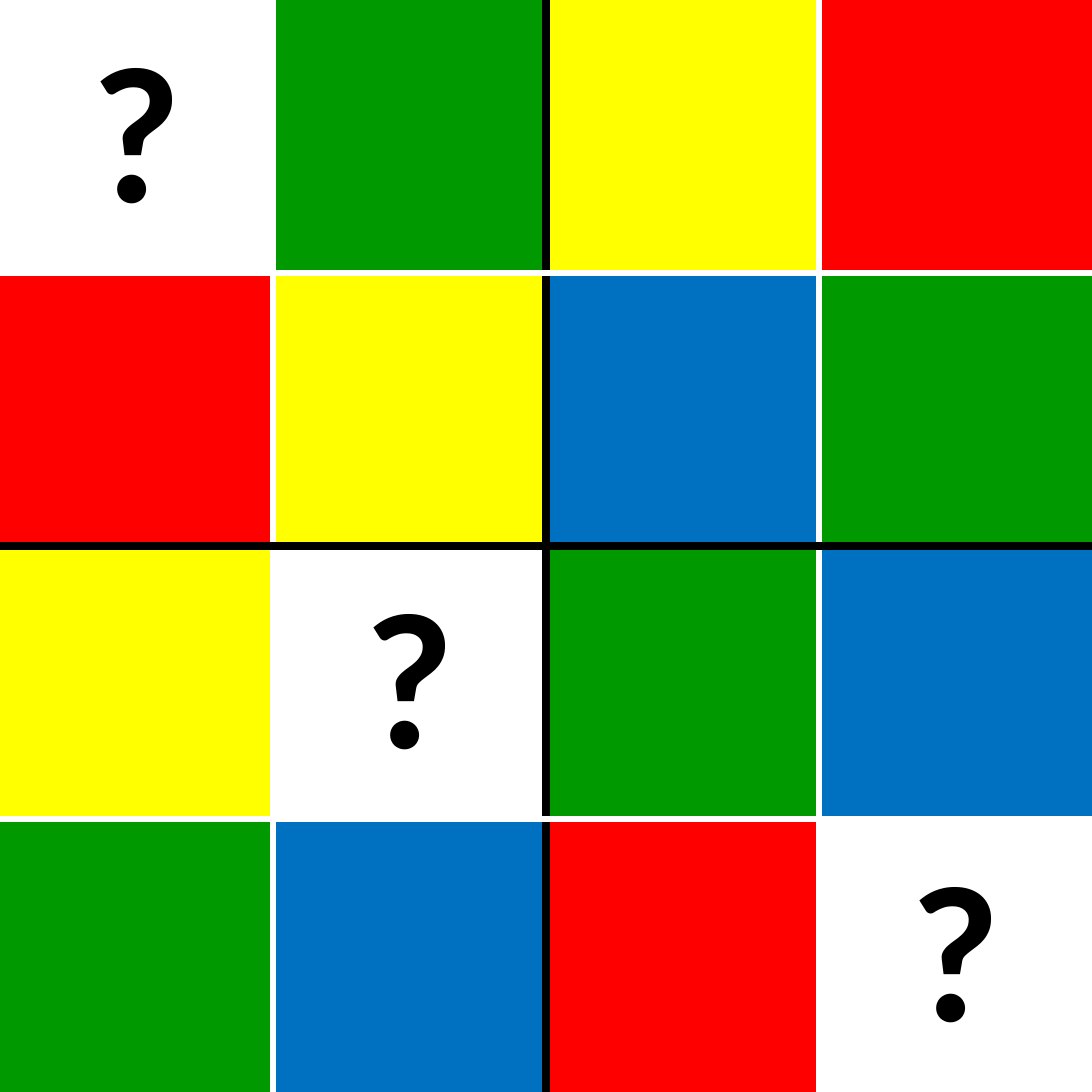
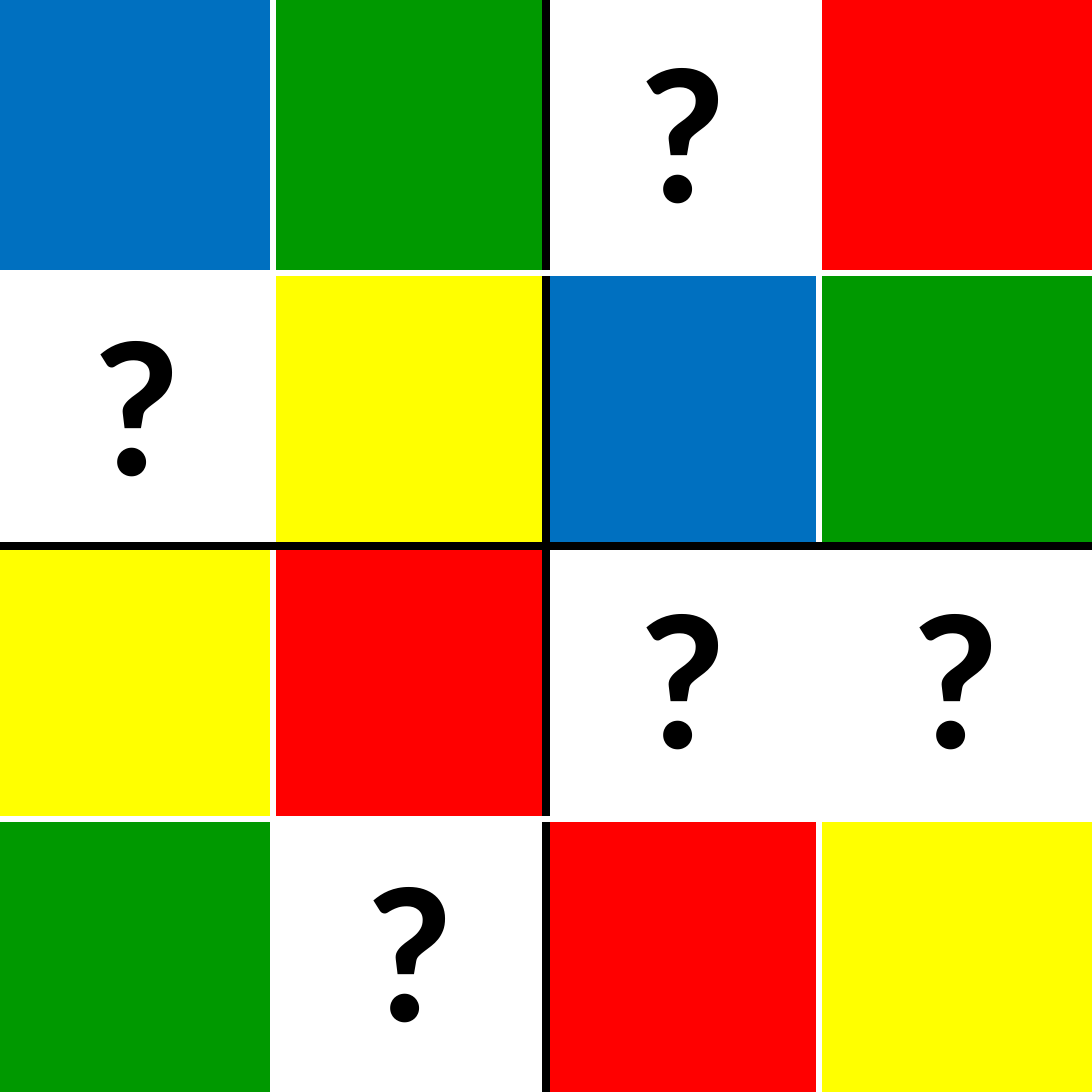
import pptx
import pptx.util
import pptx.dml.color
import pptx.enum.text
import pptx.oxml
import pptx.oxml.ns

RGBColor = pptx.dml.color.RGBColor
Inches, Pt = pptx.util.Inches, pptx.util.Pt

# Shared colours
WHITE = RGBColor(0xFF, 0xFF, 0xFF)
BLACK = RGBColor(0x00, 0x00, 0x00)
GREEN = RGBColor(0x00, 0x99, 0x00)
YELLOW = RGBColor(0xFF, 0xFF, 0x00)
RED = RGBColor(0xFF, 0x00, 0x00)
BLUE = RGBColor(0x00, 0x70, 0xC0)

# Puzzles: one letter per cell, "?" for a colour to be found
FILLS = {"G": GREEN, "Y": YELLOW, "R": RED, "B": BLUE, "?": WHITE}
PUZZLES = [
    ["?GYR", "RYBG", "Y?GB", "GBR?"],
    ["BG?R", "?YBG", "YR??", "G?RY"],
]


class ColourSudoku:
    SIDE = Inches(7.5)
    N = 4
    FONT, SIZE = "Calibri", Pt(96)
    THIN, THICK = (WHITE, Pt(3)), (BLACK, Pt(4.5))

    def __init__(self, prs):
        self.prs = prs
        prs.slide_width = prs.slide_height = self.SIDE
        self.s = None

    def new_slide(self):
        self.s = self.prs.slides.add_slide(self.prs.slide_layouts[6])

    def board(self, rows):
        """Fill the slide with a square table of coloured cells."""
        table = self.s.shapes.add_table(
            self.N, self.N, 0, 0, self.SIDE, self.SIDE).table
        table.first_row = table.horz_banding = False
        for band in [*table.columns]:
            band.width = self.SIDE // self.N
        for band in [*table.rows]:
            band.height = self.SIDE // self.N
        for y, row in enumerate(rows):
            for x, letter in enumerate(row):
                cell = table.cell(y, x)
                cell.fill.solid()
                cell.fill.fore_color.rgb = FILLS[letter]
                if letter == "?":
                    self.question(cell)
                self.borders(cell, x, y)

    def question(self, cell):
        cell.vertical_anchor = pptx.enum.text.MSO_ANCHOR.MIDDLE
        cell.margin_left = cell.margin_right = Inches(0.12)
        cell.margin_top = cell.margin_bottom = Inches(0.06)
        p = cell.text_frame.paragraphs[0]
        p.alignment = pptx.enum.text.PP_ALIGN.CENTER
        r = p.add_run()
        r.text = "?"
        r.font.name, r.font.size, r.font.bold = self.FONT, self.SIZE, True
        r.font.color.rgb = BLACK

    def rule(self, edge):
        """Line at grid edge 0..N: none outside, thick in the middle."""
        if edge in (0, self.N):
            return None
        return self.THICK if edge == self.N // 2 else self.THIN

    def borders(self, cell, x, y):
        tcPr = cell._tc.get_or_add_tcPr()
        edges = {"lnL": x, "lnR": x + 1, "lnT": y, "lnB": y + 1}
        # Lines come before the fill in the cell properties
        for i, (tag, edge) in enumerate(edges.items()):
            rule = self.rule(edge)
            if rule:
                colour, width = rule
                paint = f'<a:solidFill><a:srgbClr val="{colour}"/></a:solidFill>'
            else:
                width, paint = 0, "<a:noFill/>"
            tcPr.insert(i, pptx.oxml.parse_xml(
                f'<a:{tag} {pptx.oxml.ns.nsdecls("a")} w="{int(width)}">'
                f'{paint}</a:{tag}>'))


prs = pptx.Presentation()
sudoku = ColourSudoku(prs)
for puzzle in PUZZLES:
    sudoku.new_slide()
    sudoku.board(puzzle)
prs.save("out.pptx")
